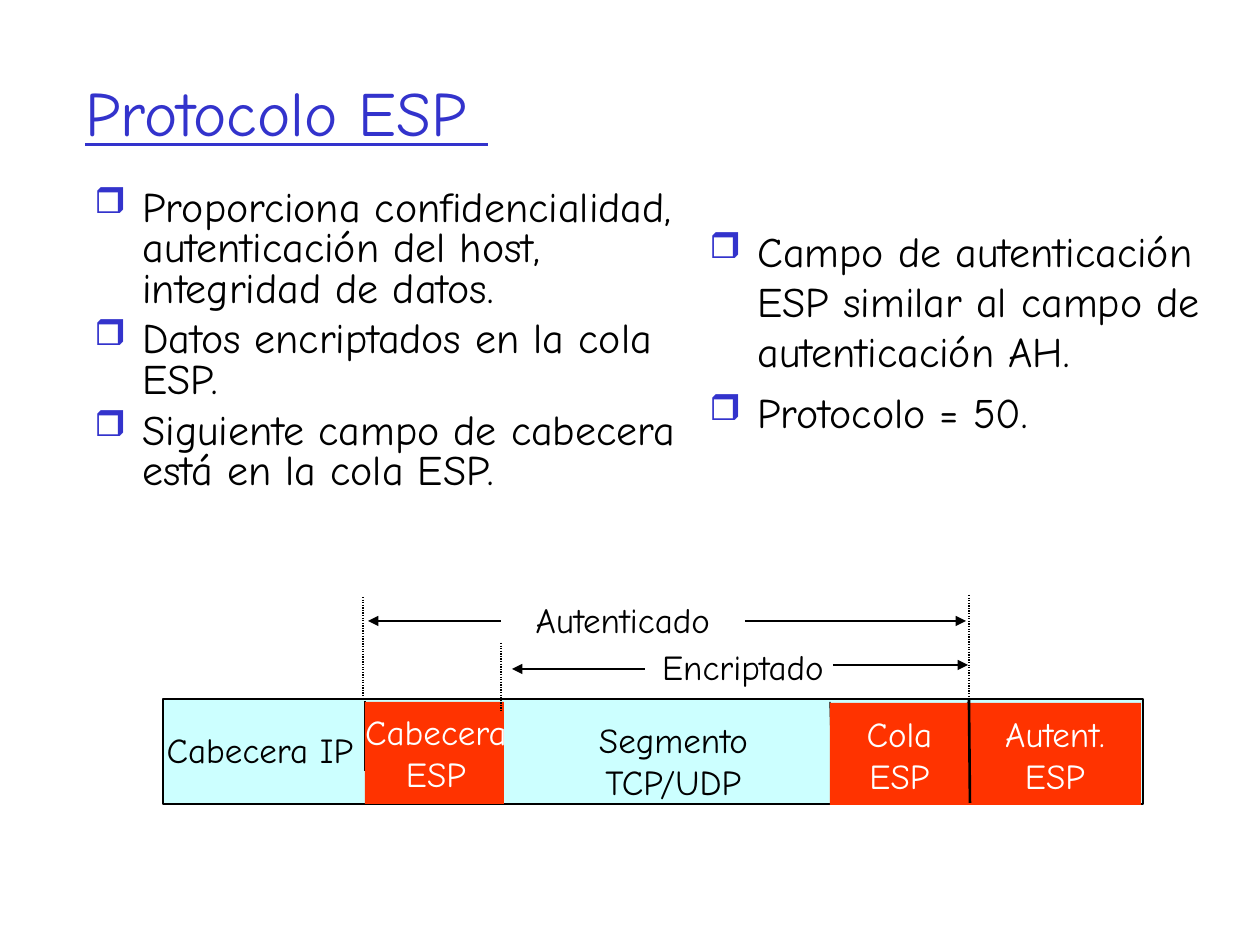
"""Build the slide on the ESP protocol and its packet layout."""
from lxml import etree
from pptx import Presentation
from pptx import util as u
from pptx.dml.color import RGBColor
from pptx.enum import dml, shapes, text
from pptx.oxml.ns import qn

SCALE = 914400 / 126
FONT = "Comic Neue"
COLORS = {"blue": "3333CC", "black": "000000", "white": "FFFFFF",
          "cyan": "CCFFFF", "red": "FF3300"}
BAR = (163, 699, 980, 105)
SEGMENTS = [(365, 702, 139, 102), (830, 703, 139, 102), (966, 703, 175, 102)]
TICKS = [(365, 701, 365, 771), (830, 702, 832, 772), (968, 702, 969, 772)]
LABELS = [
    ("black", (154, 722, 224, 55), ["Cabecera IP "]),
    ("black", (586, 712, 175, 97), ["Segmento", "TCP/UDP"]),
    ("white", (352, 704, 168, 97), ["Cabecera", "ESP"]),
    ("white", (854, 706, 91, 97), ["Cola", "ESP"]),
    ("white", (971, 706, 168, 97), ["Autent.", "ESP"]),
    ("black", (649, 639, 188, 55), ["Encriptado"]),
    ("black", (523, 592, 200, 55), ["Autenticado"]),
]
ARROWS = [(645, 669, 512, 669), (833, 665, 968, 665),
          (501, 621, 368, 621), (745, 621, 966, 621)]
GUIDES = [(363, 597, 363, 699), (969, 595, 969, 697), (501, 643, 501, 711)]
LEFT_POINTS = [
    "Proporciona confidencialidad, autenticación del host, integridad de datos.",
    "Datos encriptados en la cola ESP.",
    "Siguiente campo de cabecera está en la cola ESP.",
]
RIGHT_POINTS = [
    "Campo de autenticación ESP similar al campo de autenticación AH.",
    "Protocolo = 50.",
]


def px(*lengths):
    """Turn pixel lengths into EMU."""
    return [u.Emu(round(length * SCALE)) for length in lengths]


def rgb(name):
    """Look up a palette colour."""
    return RGBColor.from_string(COLORS[name])


def apply(target, values):
    """Set every attribute in a dict of format values."""
    for name, value in values.items():
        setattr(target, name, value)


def add_text(slide, box, lines, size, color, frame_format, paragraph_format=None,
             underline=None):
    """Add a text box with one paragraph per line and return its paragraphs."""
    frame = slide.shapes.add_textbox(*px(*box)).text_frame
    apply(frame, frame_format)
    for index, line in enumerate(lines):
        paragraph = frame.paragraphs[0] if index == 0 else frame.add_paragraph()
        apply(paragraph, paragraph_format or {})
        run = paragraph.add_run()
        run.text = line
        apply(run.font, {"name": FONT, "size": u.Pt(size), "underline": underline})
        run.font.color.rgb = rgb(color)
    return frame.paragraphs


def add_bullet(paragraph):
    """Give a paragraph a hanging blue box bullet."""
    properties = paragraph._p.get_or_add_pPr()
    indent = px(48)[0]
    properties.set("marL", str(indent))
    properties.set("indent", str(-indent))
    color = etree.SubElement(properties, qn("a:buClr"))
    etree.SubElement(color, qn("a:srgbClr"), val=COLORS["blue"])
    etree.SubElement(properties, qn("a:buSzPct"), val="85000")
    etree.SubElement(properties, qn("a:buChar"), char="❒")


def add_bullets(slide, box, lines, line_spacing):
    """Add a bulleted list."""
    for index, paragraph in enumerate(
            add_text(slide, box, lines, 24, "black", {"word_wrap": True})):
        add_bullet(paragraph)
        apply(paragraph, {"line_spacing": line_spacing,
                          "space_before": u.Pt(6 if index else 0)})


def add_rectangle(slide, box, fill, outline=None):
    """Add a filled rectangle, outlined when a colour is given."""
    shape = slide.shapes.add_shape(shapes.MSO_SHAPE.RECTANGLE, *px(*box))
    shape.shadow.inherit = False
    shape.fill.solid()
    shape.fill.fore_color.rgb = rgb(fill)
    if outline:
        shape.line.color.rgb = rgb(outline)
        shape.line.width = u.Pt(0.75)
    else:
        shape.line.fill.background()


def add_line(slide, ends, width=0.75, dash=None, arrow=False):
    """Add a straight black line, with an arrowhead at its end if asked."""
    connector = slide.shapes.add_connector(shapes.MSO_CONNECTOR.STRAIGHT, *px(*ends))
    connector.line.color.rgb = rgb("black")
    apply(connector.line, {"width": u.Pt(width), "dash_style": dash})
    if arrow:
        etree.SubElement(connector.line._get_or_add_ln(), qn("a:tailEnd"),
                         type="triangle")
    etree.SubElement(connector._element.spPr, qn("a:effectLst"))


def add_label(slide, color, box, lines):
    """Add a centred diagram label."""
    add_text(slide, box, lines, 20, color,
             {"word_wrap": False, "auto_size": text.MSO_AUTO_SIZE.SHAPE_TO_FIT_TEXT},
             {"alignment": text.PP_ALIGN.CENTER})


def add_packet(slide):
    """Draw the packet bar with its fields, labels and spans."""
    add_rectangle(slide, BAR, "cyan", "black")
    for tick, segment in zip(TICKS, SEGMENTS):
        add_line(slide, tick)
        add_rectangle(slide, segment, "red")
    add_line(slide, (969, 699, 970, 803), width=1.5)
    for label in LABELS:
        add_label(slide, *label)
    for arrow in ARROWS:
        add_line(slide, arrow, arrow=True)
    for guide in GUIDES:
        add_line(slide, guide, dash=dml.MSO_LINE.ROUND_DOT)


def main():
    """Build and save the presentation."""
    presentation = Presentation()
    apply(presentation, dict(zip(("slide_width", "slide_height"), px(1260, 945))))
    slide = presentation.slides.add_slide(presentation.slide_layouts[6])
    add_text(slide, (73, 32, 1071, 158), ["Protocolo ESP "], 36, "blue",
             {"word_wrap": True, "vertical_anchor": text.MSO_ANCHOR.MIDDLE},
             underline=True)
    add_bullets(slide, (82, 184, 607, 341), LEFT_POINTS, 0.8)
    add_bullets(slide, (697, 219, 525, 339), RIGHT_POINTS, 1.0)
    add_packet(slide)
    presentation.save("out.pptx")


if __name__ == "__main__":
    main()
